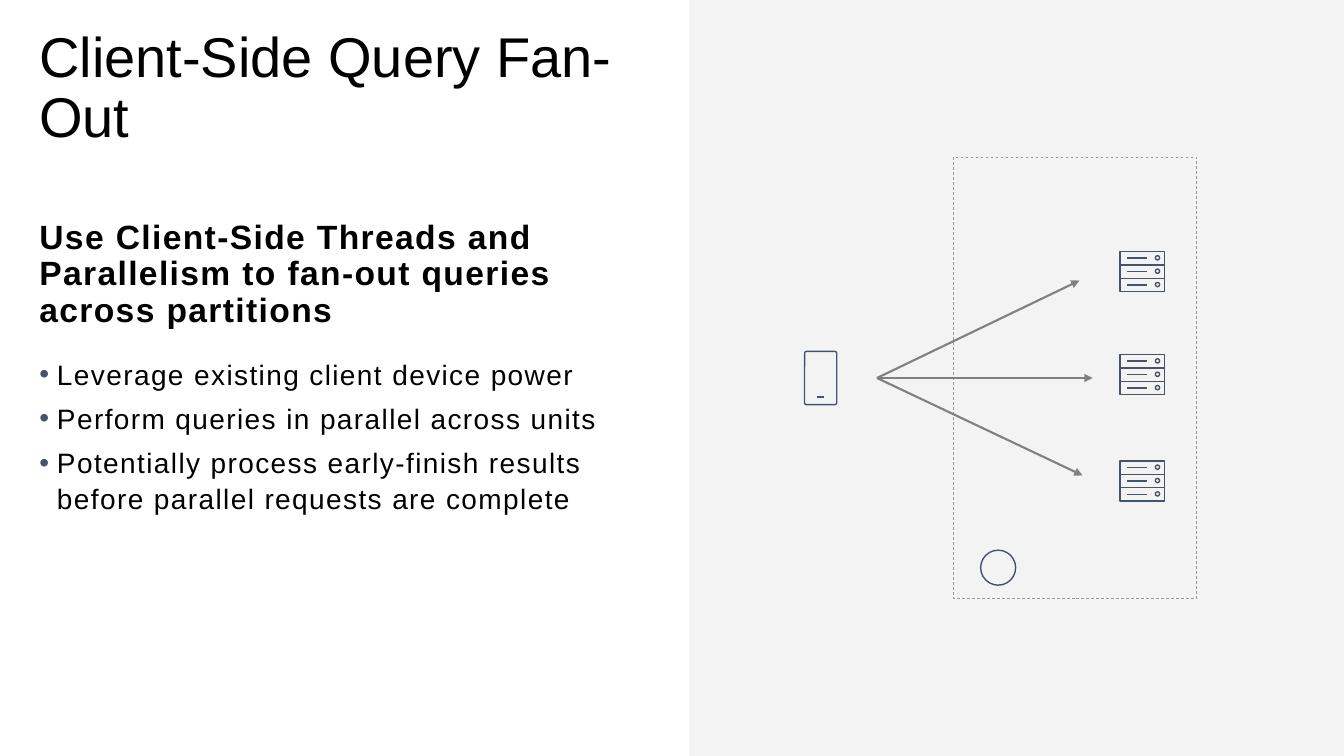
from dataclasses import dataclass

from lxml.etree import SubElement
from pptx import Presentation
from pptx.dml.color import RGBColor
from pptx.enum.dml import MSO_LINE
from pptx.enum.shapes import MSO_CONNECTOR, MSO_SHAPE
from pptx.enum.text import MSO_ANCHOR, MSO_AUTO_SIZE, PP_ALIGN
from pptx.oxml.ns import qn
from pptx.util import Pt


@dataclass(frozen=True)
class Theme:
    """Colours, font and type sizes of the slide."""
    font: str = "Arial"
    text: str = "000000"
    accent: str = "44546A"
    panel: str = "F2F2F2"
    arrow: str = "808080"
    frame: str = "999999"
    title: float = 40
    lead: float = 24
    bullet: float = 20


THEME = Theme()
LEAD = "Use Client-Side Threads and Parallelism to fan-out queries across partitions"
BULLETS = [
    "Leverage existing client device power",
    "Perform queries in parallel across units",
    "Potentially process early-finish results before parallel requests are complete",
]


def add_outline(shapes, kind, x, y, w, h, color=THEME.accent, width=1):
    """Add an unfilled preset shape with a thin line."""
    sp = shapes.add_shape(kind, Pt(x), Pt(y), Pt(w), Pt(h))
    sp.shadow.inherit = False
    sp.fill.background()
    sp.line.color.rgb = RGBColor.from_string(color)
    sp.line.width = Pt(width)
    return sp


def add_line(shapes, x1, y1, x2, y2, color=THEME.accent, width=1, arrow=False):
    """Add a straight connector, with an arrowhead at its end if asked."""
    c = shapes.add_connector(MSO_CONNECTOR.STRAIGHT, Pt(x1), Pt(y1), Pt(x2), Pt(y2))
    c.line.color.rgb = RGBColor.from_string(color)
    c.line.width = Pt(width)
    if arrow:
        SubElement(c.line._get_or_add_ln(), qn("a:tailEnd"), type="triangle")
    SubElement(c._element.spPr, qn("a:effectLst"))


def add_run(p, text, size, bold=False, spacing=0):
    """Add one formatted run to a paragraph."""
    r = p.add_run()
    r.text = text
    r.font.name = THEME.font
    r.font.size = Pt(size)
    r.font.bold = bold
    r.font.color.rgb = RGBColor.from_string(THEME.text)
    if spacing:
        r._r.get_or_add_rPr().set("spc", str(spacing * 100))


def format_paragraph(p, line, before=0, after=0):
    """Set alignment and spacing of a paragraph."""
    p.alignment = PP_ALIGN.LEFT
    p.line_spacing = line
    p.space_before, p.space_after = Pt(before), Pt(after)


def set_bullet(p, indent=0):
    """Give a paragraph a hanging bullet, or none when there is no indent."""
    pPr = p._p.get_or_add_pPr()
    pPr.set("marL", str(Pt(indent)))
    pPr.set("indent", str(-Pt(indent)))
    if not indent:
        SubElement(pPr, qn("a:buNone"))
        return
    SubElement(SubElement(pPr, qn("a:buClr")), qn("a:srgbClr"), val=THEME.accent)
    SubElement(pPr, qn("a:buFont"), typeface=THEME.font)
    SubElement(pPr, qn("a:buChar"), char="•")


def place_placeholder(ph, x, y, w, h, anchor):
    """Move a placeholder and return its text frame."""
    ph.left, ph.top, ph.width, ph.height = Pt(x), Pt(y), Pt(w), Pt(h)
    tf = ph.text_frame
    tf.word_wrap = True
    tf.auto_size = MSO_AUTO_SIZE.NONE
    tf.vertical_anchor = anchor
    return tf


def add_message(s, x, y):
    """Fill the title and the list from the given corner."""
    tf = place_placeholder(s.shapes.title, x, y, 458.6, 127.4, MSO_ANCHOR.MIDDLE)
    p = tf.paragraphs[0]
    format_paragraph(p, 0.9)
    add_run(p, "Client-Side Query Fan-Out", THEME.title)

    tf = place_placeholder(s.placeholders[1], x, y + 154, 444.2, 228.2, MSO_ANCHOR.TOP)
    p = tf.paragraphs[0]
    format_paragraph(p, 0.9, before=10, after=18)
    set_bullet(p)
    add_run(p, LEAD, THEME.lead, bold=True, spacing=1)
    for text in BULLETS:
        p = tf.add_paragraph()
        p.level = 1
        format_paragraph(p, 1.07, after=6)
        set_bullet(p, 12.6)
        add_run(p, text, THEME.bullet, spacing=1)


def add_server(s, x, y):
    """Draw a rack of three units from its top left corner."""
    shapes = s.shapes.add_group_shape().shapes
    pitch = 9.55
    for i in range(3):
        top = y + i * pitch
        add_outline(shapes, MSO_SHAPE.RECTANGLE, x, top, 32, pitch)
        add_outline(shapes, MSO_SHAPE.OVAL, x + 25.3, top + 3, 3, 3)
        add_line(shapes, x + 4.8, top + 4.7, x + 19.6, top + 4.7)


def add_phone(s, x, y, w, h):
    """Draw the client device in the given box."""
    shapes = s.shapes.add_group_shape().shapes
    sp = add_outline(shapes, MSO_SHAPE.ROUNDED_RECTANGLE, x, y, w, h)
    sp.adjustments[0] = 0.06
    add_line(shapes, x + w / 2 - 2.5, y + h - 5.3, x + w / 2 + 2.5, y + h - 5.3)


def add_diagram(s, x, y, w, h):
    """Draw the panel with the client, the arrows and the partitions."""
    panel = add_outline(s.shapes, MSO_SHAPE.RECTANGLE, x, y, w, h)
    panel.fill.solid()
    panel.fill.fore_color.rgb = RGBColor.from_string(THEME.panel)
    clr = panel.fill._xPr.find(qn("a:solidFill"))[0]
    SubElement(clr, qn("a:alpha"), val="89000")
    panel.line.fill.background()

    frame = add_outline(s.shapes, MSO_SHAPE.RECTANGLE, x + 188.6, y + 112.3,
                        173.5, 315.4, THEME.frame, 0.5)
    frame.line.dash_style = MSO_LINE.DASH
    add_outline(s.shapes, MSO_SHAPE.OVAL, x + 208, y + 393, 25, 25)
    add_phone(s, x + 82.2, y + 251, 23, 38)
    for dx, dy in [(288, 0), (280.8, 69.6), (278.6, -69.6)]:
        add_line(s.shapes, x + 133.9, y + 270, x + dx, y + 270 + dy,
                 THEME.arrow, 1.5, arrow=True)
    for top in (179.7, 253.3, 329.2):
        add_server(s, x + 307.5, y + top)


def main():
    """Build the slide and save it."""
    prs = Presentation()
    prs.slide_width, prs.slide_height = Pt(960), Pt(540)
    s = prs.slides.add_slide(prs.slide_layouts[1])
    add_message(s, 20.9, 0)
    add_diagram(s, 492.5, 0, 467.5, 540)
    prs.save("out.pptx")


if __name__ == "__main__":
    main()
